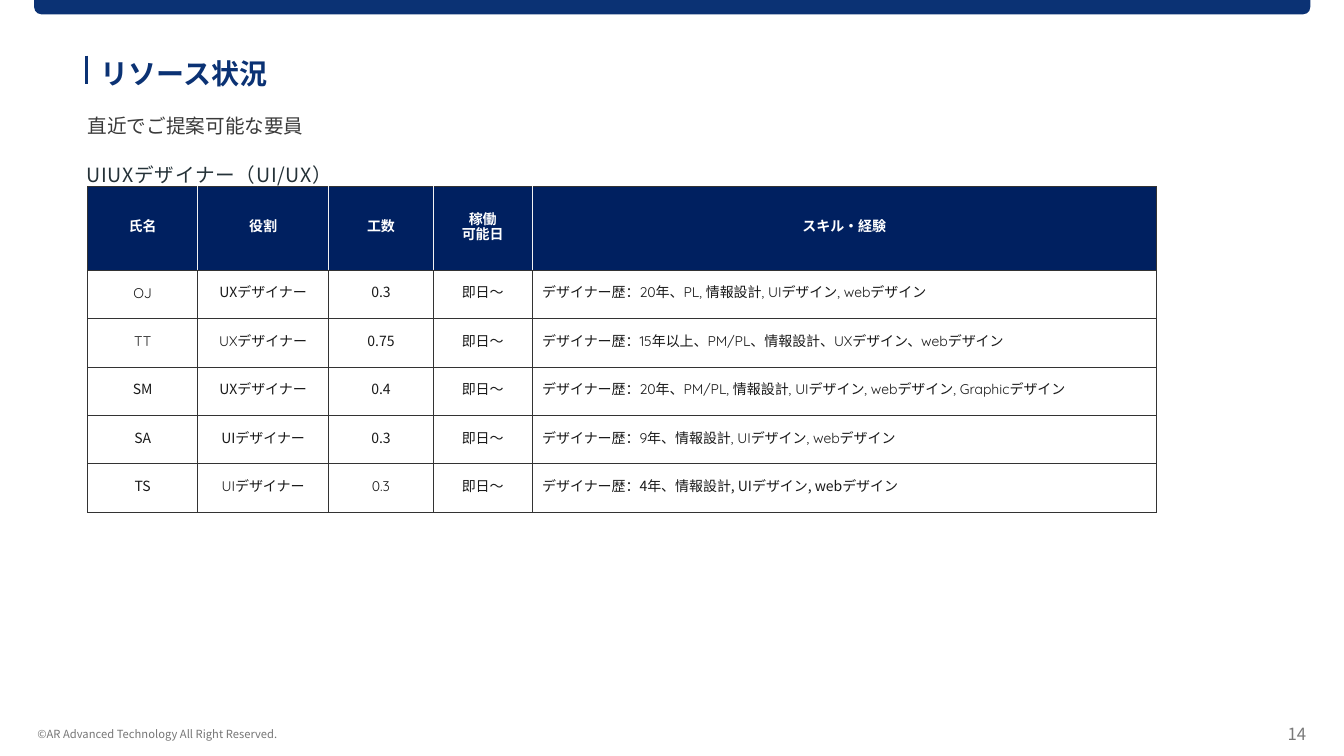
from lxml.etree import SubElement
from pptx import Presentation
from pptx.dml.color import RGBColor
from pptx.enum.shapes import MSO_CONNECTOR, MSO_SHAPE
from pptx.enum.text import MSO_ANCHOR, PP_ALIGN
from pptx.oxml.ns import qn
from pptx.util import Cm, Pt

NOTO = "Noto Sans CJK JP"
QUICKSAND = "Quicksand"
FONTS = {"N": NOTO, "Q": QUICKSAND}
NAVY, HEADER_NAVY, WHITE = "0B3274", "002060", "FFFFFF"
GRID, HEADER_GRID, INK = "333333", "F2F2F2", "191919"

COPYRIGHT = "©AR Advanced Technology All Right Reserved."
PAGE_NUMBER = "14"
TITLE = "リソース状況"
LEAD = "直近でご提案可能な要員"
TEAM = "UIUXデザイナー（UI/UX）"

TABLE_LEFT, TABLE_TOP = 2.21, 4.7
COLUMN_WIDTHS = [2.77, 3.3, 2.64, 2.49, 15.73]
HEADER_HEIGHT, ROW_HEIGHT = 2.11, 1.22
ROWS = [
    ("QQNNQ", ["氏名", "役割", "工数", "稼働\n可能日", "スキル・経験"]),
    ("QNNQQ", ["OJ", "UXデザイナー", "0.3", "即日～",
               "デザイナー歴：20年、PL, 情報設計, UIデザイン, webデザイン"]),
    ("QQNNQ", ["TT", "UXデザイナー", "0.75", "即日～",
               "デザイナー歴：15年以上、PM/PL、情報設計、UXデザイン、webデザイン"]),
    ("NNNQQ", ["SM", "UXデザイナー", "0.4", "即日～",
               "デザイナー歴：20年、PM/PL, 情報設計, UIデザイン, webデザイン, Graphicデザイン"]),
    ("NNNQQ", ["SA", "UIデザイナー", "0.3", "即日～",
               "デザイナー歴：9年、情報設計, UIデザイン, webデザイン"]),
    ("NQQQN", ["TS", "UIデザイナー", "0.3", "即日～",
               "デザイナー歴：4年、情報設計, UIデザイン, webデザイン"]),
]


def color(value):
    return RGBColor.from_string(value)


def add_run(paragraph, text, size, ink, font=NOTO, bold=False):
    run = paragraph.add_run()
    run.text = text
    run.font.size = Pt(size)
    run.font.bold = bold
    run.font.color.rgb = color(ink)
    run.font.name = font
    properties = run.font._element
    SubElement(properties, qn("a:ea")).set("typeface", NOTO)
    return properties


def add_text(slide, box, text, size, ink, bold=False, align=PP_ALIGN.LEFT,
             anchor=MSO_ANCHOR.MIDDLE, top=0, bottom=0, line_spacing=None, tracking=None):
    frame = slide.shapes.add_textbox(*map(Cm, box)).text_frame
    frame.word_wrap = True
    frame.vertical_anchor = anchor
    frame.margin_left = frame.margin_right = 0
    frame.margin_top, frame.margin_bottom = Cm(top), Cm(bottom)
    paragraph = frame.paragraphs[0]
    paragraph.alignment = align
    paragraph.line_spacing = line_spacing
    properties = add_run(paragraph, text, size, ink, bold=bold)
    if tracking:
        properties.set("spc", str(tracking))


def set_borders(cell, sides):
    properties = cell._tc.get_or_add_tcPr()
    for side, value in sides.items():
        line = SubElement(properties, qn(f"a:ln{side}"), w=str(Pt(0.86)))
        fill = SubElement(line, qn("a:solidFill"))
        SubElement(fill, qn("a:srgbClr"), val=value)


def add_staff_table(slide):
    heights = [HEADER_HEIGHT] + [ROW_HEIGHT] * (len(ROWS) - 1)
    last = len(COLUMN_WIDTHS) - 1
    table = slide.shapes.add_table(
        len(ROWS), len(COLUMN_WIDTHS), Cm(TABLE_LEFT), Cm(TABLE_TOP),
        Cm(sum(COLUMN_WIDTHS)), Cm(sum(heights))).table
    table.first_row = table.horz_banding = False
    for column, width in zip(table.columns, COLUMN_WIDTHS):
        column.width = Cm(width)
    for row_index, (fonts, texts) in enumerate(ROWS):
        table.rows[row_index].height = Cm(heights[row_index])
        header = row_index == 0
        inner = HEADER_GRID if header else GRID
        for column_index, text in enumerate(texts):
            cell = table.cell(row_index, column_index)
            set_borders(cell, {"L": inner if column_index else GRID,
                               "R": inner if column_index < last else GRID,
                               "T": GRID, "B": GRID})
            cell.fill.solid()
            cell.fill.fore_color.rgb = color(HEADER_NAVY if header else WHITE)
            cell.vertical_anchor = MSO_ANCHOR.MIDDLE
            left_aligned = column_index == last and not header
            for index, line in enumerate(text.split("\n")):
                frame = cell.text_frame
                paragraph = frame.add_paragraph() if index else frame.paragraphs[0]
                paragraph.alignment = PP_ALIGN.LEFT if left_aligned else PP_ALIGN.CENTER
                paragraph.line_spacing = Pt(10.5)
                add_run(paragraph, line, 10, WHITE if header else INK,
                        FONTS[fonts[column_index]], header)


def main():
    presentation = Presentation()
    presentation.slide_width, presentation.slide_height = Cm(33.87), Cm(19.05)
    slide = presentation.slides.add_slide(presentation.slide_layouts[6])

    top_bar = slide.shapes.add_shape(
        MSO_SHAPE.ROUND_2_SAME_RECTANGLE, Cm(0.86), 0, Cm(32.16), Cm(0.36))
    top_bar.rotation = 180
    top_bar.adjustments[0], top_bar.adjustments[1] = 0.5, 0
    top_bar.shadow.inherit = False
    top_bar.fill.solid()
    top_bar.fill.fore_color.rgb = color(NAVY)
    top_bar.line.fill.background()

    title_rule = slide.shapes.add_connector(
        MSO_CONNECTOR.STRAIGHT, Cm(2.18), Cm(1.4), Cm(2.18), Cm(2.11))
    title_rule.line.color.rgb = color(NAVY)
    title_rule.line.width = Pt(2)
    SubElement(title_rule._element.spPr, qn("a:effectLst"))

    add_text(slide, (0.94, 18.14, 10.01, 0.61), COPYRIGHT, 8, "767676", top=0.1)
    add_text(slide, (28.93, 18.14, 3.99, 0.61), PAGE_NUMBER, 12, "797979",
             align=PP_ALIGN.RIGHT, top=0.1)
    add_text(slide, (2.54, 1.24, 31.6, 1.19), TITLE, 20, NAVY, bold=True)
    add_text(slide, (2.18, 3.81, 26.01, 1.19), TEAM, 14, "253238", tracking=50)
    add_staff_table(slide)
    add_text(slide, (2.21, 2.64, 29.57, 0.81), LEAD, 14, "3A3A3A", anchor=MSO_ANCHOR.TOP,
             top=0.05, bottom=0.05, line_spacing=1.3)
    presentation.save("out.pptx")


if __name__ == "__main__":
    main()
